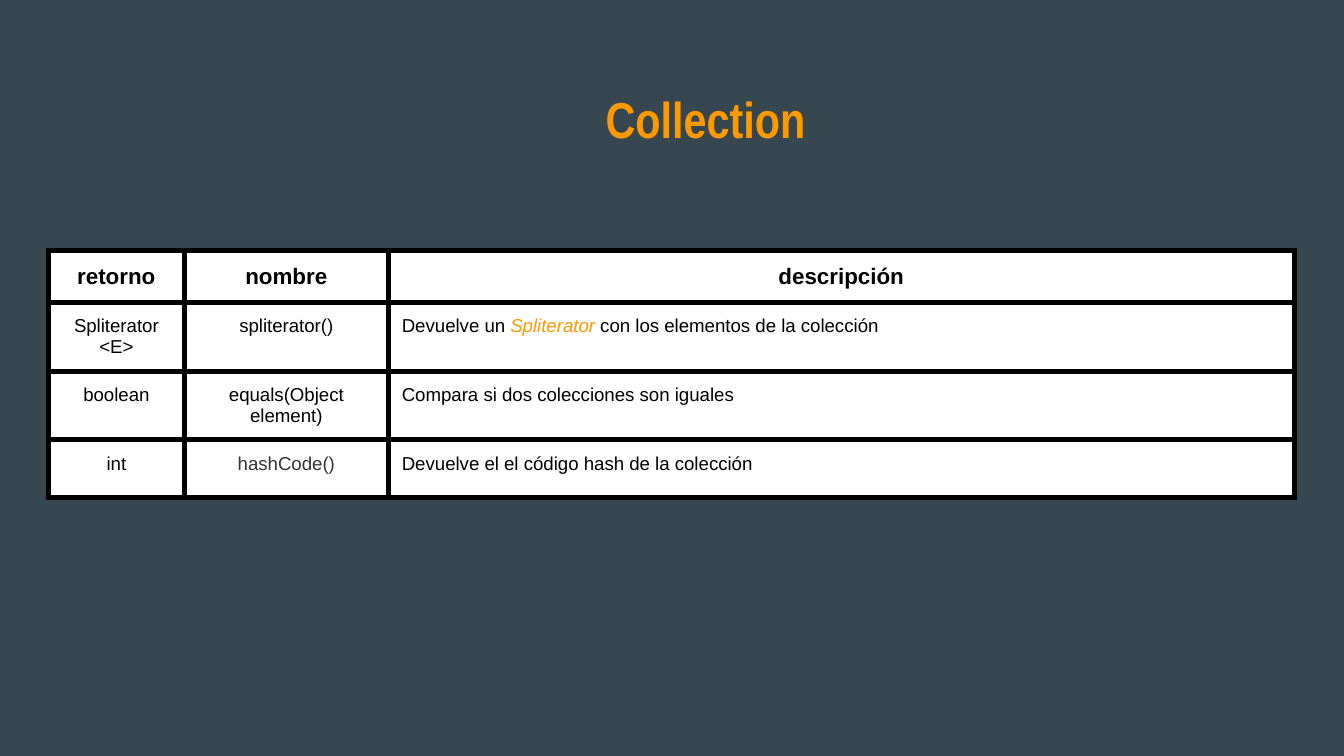
from lxml import etree
from pptx import Presentation
from pptx.dml.color import RGBColor
from pptx.enum import text as t
from pptx.oxml.ns import qn
from pptx.util import Pt

COLORS = {
    "background": "37474F",
    "accent": "FF9900",
    "text": "000000",
    "method": "333333",
    "cell": "FFFFFF",
    "border": "000000",
}
COLUMN_WIDTHS = [72.7, 109.4, 485.3]
ROW_HEIGHTS = [27.6, 36.8, 36.8, 31]
INSET = Pt(7.2)

# Each cell is a list of paragraphs, each paragraph a list of (text, style) runs
ROWS = [
    ["retorno", "nombre", "descripción"],
    ["Spliterator\n<E>", "spliterator()",
     [("Devuelve un ", "text"), ("Spliterator ", "accent"),
      ("con los elementos de la colección", "text")]],
    ["boolean", "equals(Object element)",
     "Compara si dos colecciones son iguales"],
    ["int", [("hashCode()", "method")],
     "Devuelve el el código hash de la colección"],
]


def rgb(name):
    return RGBColor.from_string(COLORS[name])


def set_insets(item):
    item.margin_left = item.margin_right = INSET
    item.margin_top = item.margin_bottom = INSET


def add_title(slide, wording):
    title = slide.shapes.title
    title.left, title.top = Pt(24.5), Pt(35.3)
    title.width, title.height = Pt(671), Pt(45.4)
    frame = title.text_frame
    set_insets(frame)
    frame.auto_size = t.MSO_AUTO_SIZE.NONE
    frame.vertical_anchor = t.MSO_ANCHOR.TOP
    frame.text = wording
    heading = frame.paragraphs[0]
    heading.alignment = t.PP_ALIGN.CENTER
    heading.line_spacing = 1.15
    heading.space_before, heading.space_after = Pt(0), Pt(12)
    heading.font.name, heading.font.size = "Arial Narrow", Pt(27)
    heading.font.bold = True
    heading.font.color.rgb = rgb("accent")
    # Left indent shifts the centred title to the right
    properties = heading._p.get_or_add_pPr()
    properties.set("marL", str(Pt(36)))
    properties.set("indent", "0")


def add_borders(cell, width=Pt(3)):
    properties = cell._tc.get_or_add_tcPr()
    for side in ("lnL", "lnR", "lnT", "lnB"):
        line = etree.SubElement(properties, qn(f"a:{side}"), w=str(width))
        fill = etree.SubElement(line, qn("a:solidFill"))
        etree.SubElement(fill, qn("a:srgbClr"), val=COLORS["border"])


def fill_cell(cell, content, is_header, alignment):
    add_borders(cell)
    cell.fill.solid()
    cell.fill.fore_color.rgb = rgb("cell")
    set_insets(cell)
    cell.vertical_anchor = t.MSO_ANCHOR.TOP
    frame = cell.text_frame
    if isinstance(content, str):
        frame.text = content
    else:
        for wording, style in content:
            run = frame.paragraphs[0].add_run()
            run.text = wording
            run.font.color.rgb = rgb(style)
            run.font.italic = style == "accent"
    for paragraph in frame.paragraphs:
        paragraph.alignment = alignment
        paragraph.font.name = "Arial"
        paragraph.font.size = Pt(12 if is_header else 10)
        paragraph.font.bold = is_header
        paragraph.font.color.rgb = rgb("text")


def add_method_table(slide):
    methods = slide.shapes.add_table(
        len(ROWS), len(COLUMN_WIDTHS), Pt(26), Pt(134.2),
        Pt(sum(COLUMN_WIDTHS)), Pt(sum(ROW_HEIGHTS))).table
    methods.horz_banding = methods.first_row = False
    for column, width in zip(methods.columns, COLUMN_WIDTHS):
        column.width = Pt(width)
    for row, height in zip(methods.rows, ROW_HEIGHTS):
        row.height = Pt(height)
    for r, contents in enumerate(ROWS):
        for c, content in enumerate(contents):
            is_description = r > 0 and c == 2
            alignment = (t.PP_ALIGN.JUSTIFY if is_description
                         else t.PP_ALIGN.CENTER)
            fill_cell(methods.cell(r, c), content, r == 0, alignment)


def main():
    deck = Presentation()
    deck.slide_width, deck.slide_height = Pt(720), Pt(405)
    slide = deck.slides.add_slide(deck.slide_layouts[5])  # title only
    slide.background.fill.solid()
    slide.background.fill.fore_color.rgb = rgb("background")
    add_method_table(slide)
    add_title(slide, "Collection")
    deck.save("out.pptx")


if __name__ == "__main__":
    main()
